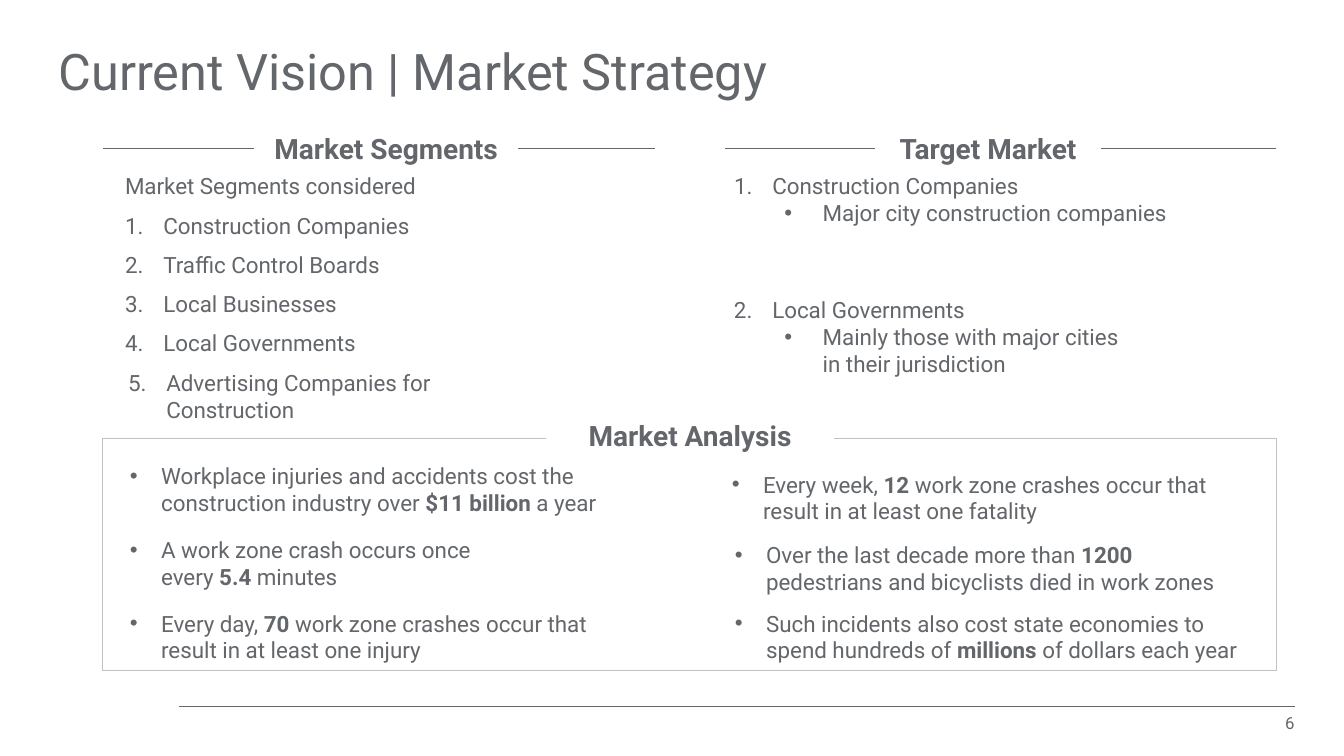
from dataclasses import dataclass

from lxml import etree
from pptx import Presentation
from pptx.dml.color import RGBColor
from pptx.enum.shapes import MSO_CONNECTOR, MSO_SHAPE
from pptx.enum.text import MSO_ANCHOR, MSO_AUTO_SIZE, PP_ALIGN
from pptx.oxml.ns import qn
from pptx.util import Inches, Pt

STRAIGHT = MSO_CONNECTOR.STRAIGHT
RECTANGLE = MSO_SHAPE.RECTANGLE
TOP, MIDDLE = MSO_ANCHOR.TOP, MSO_ANCHOR.MIDDLE
LEFT, CENTER, RIGHT = PP_ALIGN.LEFT, PP_ALIGN.CENTER, PP_ALIGN.RIGHT
GROW, FIXED = MSO_AUTO_SIZE.SHAPE_TO_FIT_TEXT, MSO_AUTO_SIZE.NONE


@dataclass(frozen=True)
class Theme:
    font: str = "Roboto"
    ink: RGBColor = RGBColor(0x63, 0x66, 0x6A)
    frame: RGBColor = RGBColor(0xC0, 0xC2, 0xC4)
    paper: RGBColor = RGBColor(0xFF, 0xFF, 0xFF)
    title: int = 36
    heading: int = 20
    body: int = 16
    page: int = 12


THEME = Theme()
SEGMENTS = ["Construction Companies", "Traffic Control Boards", "Local Businesses",
            "Local Governments", "Advertising Companies for Construction"]
# Top offset, width, height, market, detail
TARGETS = [
    (0.41, 4.79, 0.54, "Construction Companies", "Major city construction companies"),
    (1.64, 4.03, 0.81, "Local Governments",
     "Mainly those with major cities in their jurisdiction"),
]
# Offset in the frame, width, finding; *bold*, ~ is a non-breaking space
FINDINGS = [
    (0.17, 0.19, 5.29, "Workplace injuries and accidents cost the construction "
                       "industry over *$11 billion* a year"),
    (0.17, 0.92, 5.13, "A work zone crash occurs once every~*5.4*~minutes"),
    (0.17, 1.65, 5.13, "Every day,~*70*~work zone crashes occur that result "
                       "in at least one injury"),
    (6.14, 0.27, 5.29, "Every week,~*12*~work zone crashes occur that result "
                       "in at least one fatality"),
    (6.17, 0.97, 5.29, "Over the last decade more than *1200* pedestrians and "
                       "bicyclists died in work zones"),
    (6.17, 1.65, 5.29, "Such incidents also cost state economies to spend "
                       "hundreds of *millions* of dollars each year"),
]


# Text helpers
def write(paragraph, text, size, bold=False, align=LEFT):
    paragraph.alignment = align
    for i, part in enumerate(text.replace("~", chr(160)).split("*")):
        run = paragraph.add_run()
        run.text = part
        run.font.name = THEME.font
        run.font.size = Pt(size)
        run.font.bold = bold or i % 2 == 1
        run.font.color.rgb = THEME.ink


def mark(paragraph, left, hanging, number=None):
    """Number the paragraph, or give it a round bullet."""
    props = paragraph._p.get_or_add_pPr()
    props.set("marL", str(Inches(left)))
    props.set("indent", str(-Inches(hanging)))
    if number:
        etree.SubElement(props, qn("a:buFont"), typeface="+mj-lt")
        etree.SubElement(props, qn("a:buAutoNum"), type="arabicPeriod",
                         startAt=str(number))
    else:
        etree.SubElement(props, qn("a:buFont"), typeface="Arial")
        etree.SubElement(props, qn("a:buChar"), char="•")


def set_frame(frame, inset=True, anchor=TOP, auto_size=GROW):
    frame.word_wrap = True
    frame.auto_size = auto_size
    frame.vertical_anchor = anchor
    side, edge = (0.1, 0.05) if inset else (0, 0)
    frame.margin_left = frame.margin_right = Inches(side)
    frame.margin_top = frame.margin_bottom = Inches(edge)
    return frame


def add_text(slide, box, **options):
    return set_frame(slide.shapes.add_textbox(*map(Inches, box)).text_frame, **options)


# Shape helpers
def add_rule(slide, left, right, y, width):
    rule = slide.shapes.add_connector(STRAIGHT, Inches(left), Inches(y),
                                      Inches(right), Inches(y))
    rule.line.color.rgb = THEME.ink
    rule.line.width = Pt(width)
    etree.SubElement(rule._element.spPr, qn("a:effectLst"))


def add_heading(slide, box, text, **options):
    """White plate that interrupts the line behind it."""
    plate = slide.shapes.add_shape(RECTANGLE, *map(Inches, box))
    plate.shadow.inherit = False
    plate.fill.solid()
    plate.fill.fore_color.rgb = THEME.paper
    plate.line.fill.background()
    frame = set_frame(plate.text_frame, **options)
    write(frame.paragraphs[0], text, THEME.heading, bold=True, align=CENTER)


# Regions
def draw_title(slide, box):
    title = slide.shapes.title
    title.left, title.top, title.width, title.height = map(Inches, box)
    frame = set_frame(title.text_frame, inset=False, anchor=MIDDLE, auto_size=FIXED)
    frame.paragraphs[0].line_spacing = 0.9
    write(frame.paragraphs[0], "Current Vision | Market Strategy", THEME.title)


def draw_column_head(slide, left, top, width, text, offset, plate_width):
    add_rule(slide, left, left + width, top + 0.17, 0.75)
    add_heading(slide, (left + offset, top, plate_width, 0.34), text, inset=False)


def draw_segments(slide, left, top, width):
    draw_column_head(slide, left, top, width, "Market Segments", 1.5, 2.62)
    pitch, first = 0.39, top + 0.41
    intro = add_text(slide, (left + 0.22, first, 3.06, 0.27), inset=False)
    write(intro.paragraphs[0], "Market Segments considered", THEME.body)
    for number, segment in enumerate(SEGMENTS, 1):
        last = number == len(SEGMENTS)
        x, w, h = (0.25, 4.1, 0.54) if last else (0.22, 3.06, 0.27)
        item = add_text(slide, (left + x, first + number * pitch, w, h), inset=False)
        mark(item.paragraphs[0], 0.38, 0.38, number)
        write(item.paragraphs[0], segment, THEME.body)


def draw_targets(slide, left, top, width):
    draw_column_head(slide, left, top, width, "Target Market", 1.49, 2.24)
    for number, (y, w, h, market, detail) in enumerate(TARGETS, 1):
        item = add_text(slide, (left + 0.09, top + y, w, h), inset=False)
        mark(item.paragraphs[0], 0.38, 0.38, number)
        write(item.paragraphs[0], market, THEME.body)
        sub_item = item.add_paragraph()
        sub_item.level = 1
        mark(sub_item, 0.88, 0.38)
        write(sub_item, detail, THEME.body)


def draw_analysis(slide, left, top, width, height):
    outline = slide.shapes.add_shape(RECTANGLE, *map(Inches, (left, top, width, height)))
    outline.shadow.inherit = False
    outline.fill.background()
    outline.line.color.rgb = THEME.frame
    outline.line.width = Pt(0.75)
    add_heading(slide, (left + 4.4, top - 0.25, 2.85, 0.44), "Market Analysis",
                anchor=MIDDLE)
    for x, y, w, finding in FINDINGS:
        item = add_text(slide, (left + x, top + y, w, 0.64))
        mark(item.paragraphs[0], 0.31, 0.31)
        write(item.paragraphs[0], finding, THEME.body)


def draw_footer(slide, left, top, right):
    add_rule(slide, left, right, top, 0.25)
    page = add_text(slide, (right - 0.36, top + 0.07, 0.36, 0.2),
                    inset=False, auto_size=FIXED)
    page.paragraphs[0].line_spacing = 0.99
    write(page.paragraphs[0], "6", THEME.page, align=RIGHT)


def main():
    deck = Presentation()
    deck.slide_width, deck.slide_height = Inches(13.33), Inches(7.5)
    slide = deck.slides.add_slide(deck.slide_layouts[5])
    draw_title(slide, (0.58, 0.24, 10.05, 1))
    draw_segments(slide, 1.02, 1.3, 5.48)
    draw_targets(slide, 7.19, 1.3, 5.47)
    draw_analysis(slide, 1.02, 4.35, 11.64, 2.3)
    draw_footer(slide, 1.78, 7.01, 12.84)
    deck.save("out.pptx")


if __name__ == "__main__":
    main()
